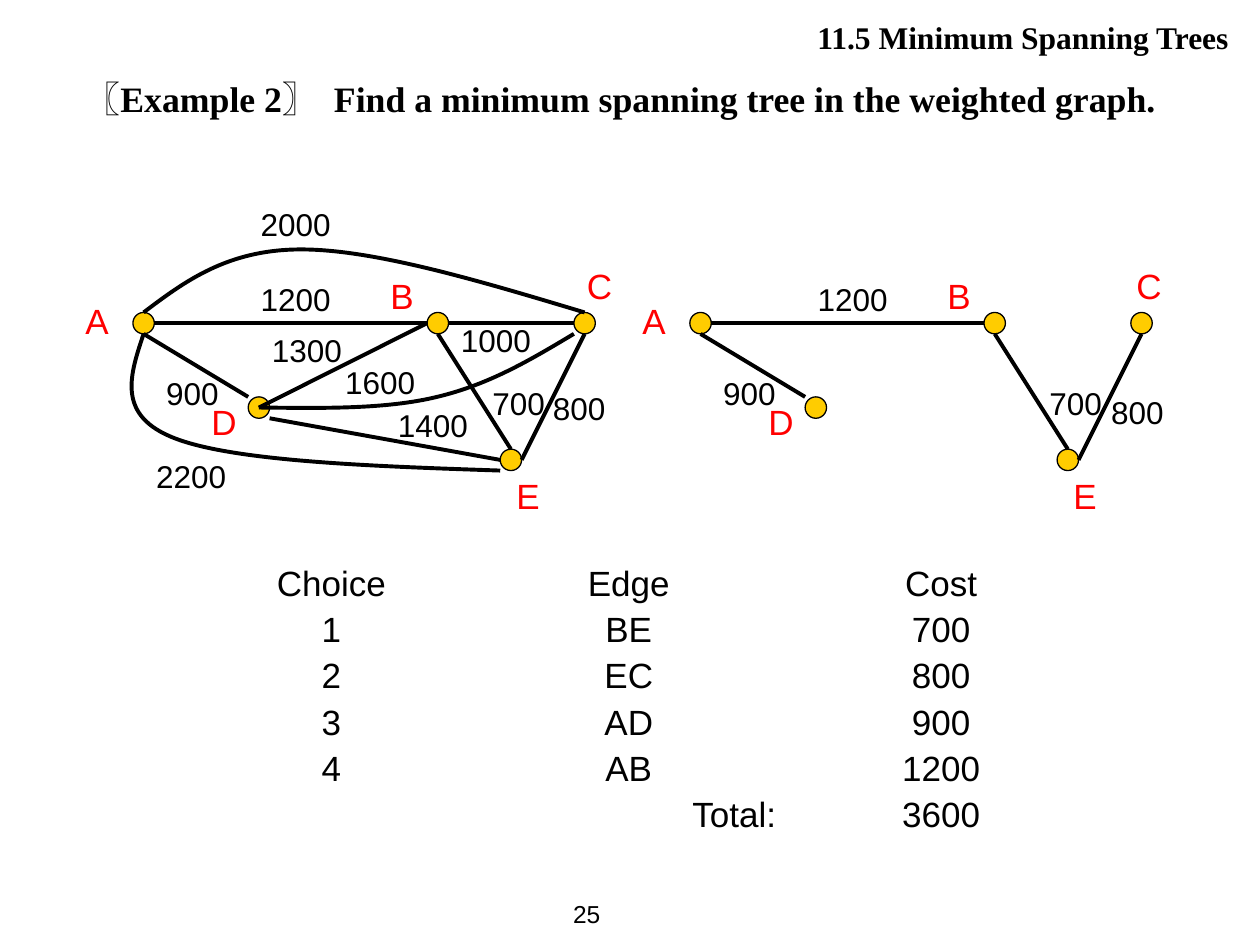
from pptx import Presentation
from pptx.dml.color import RGBColor
from pptx.enum.shapes import MSO_CONNECTOR, MSO_SHAPE
from pptx.enum.text import MSO_ANCHOR, PP_ALIGN
from pptx.oxml.ns import qn
from pptx.util import Inches, Pt

LEFT, CENTER, RIGHT = PP_ALIGN.LEFT, PP_ALIGN.CENTER, PP_ALIGN.RIGHT
TOP, MIDDLE, BOTTOM = MSO_ANCHOR.TOP, MSO_ANCHOR.MIDDLE, MSO_ANCHOR.BOTTOM
OVAL, STRAIGHT = MSO_SHAPE.OVAL, MSO_CONNECTOR.STRAIGHT

SLIDE_WIDTH, SLIDE_HEIGHT = Inches(10), Inches(7.5)
COLUMNS = 100
CELL = SLIDE_WIDTH / COLUMNS
BLACK, RED, GOLD = "000000", "FF0000", "FFCC00"

RADIUS = 0.85
TREE_SHIFT = 44.2
NODES = {
    "A": (11.4, 25.65),
    "B": (34.75, 25.65),
    "C": (46.4, 25.65),
    "D": (20.55, 32.35),
    "E": (40.55, 36.5),
}
PORTS = {
    "center": (0, 0),
    "top": (0, -1),
    "left": (-1, 0),
    "bottom": (0, 1),
    "right": (1, 0),
    "upper left": (-1, -1),
    "lower left": (-1, 1),
    "lower right": (1, 1),
}
EDGES = {
    "AB": ("right", "left"),
    "BC": ("right", "left"),
    "AD": ("bottom", "upper left"),
    "DE": ("lower right", "left"),
    "EC": ("right", "bottom"),
    "BE": ("bottom", "top"),
    "DB": ("center", "left"),
}
CURVES = {
    "AC": ("top", "top",
           [(14.7, 22.3), (18.1, 19.8), (23.9, 19.8), (29.7, 19.8), (38.1, 22.3)]),
    "AE": ("bottom", "lower left",
           [(10.3, 29.8), (9.2, 33), (13.9, 34.8), (18.6, 36.6), (29.2, 37)]),
    "DC": ("center", "lower left",
           [(25.6, 32.4), (30.6, 32.5), (34.7, 31.5), (38.9, 30.5), (42.2, 28.5)]),
}
NAME_PLACES = {
    "A": (5.8, 23.3),
    "B": (30, 21.3),
    "C": (45.6, 20.5),
    "D": (15.8, 31.3),
    "E": (40, 37.2),
}
WEIGHTS = {
    "AC": ("2000", 19.7, 15.8),
    "AB": ("1200", 19.7, 21.7),
    "BC": ("1000", 35.6, 25),
    "AD": ("900", 12.2, 29.2),
    "DB": ("1300", 20.6, 25.8),
    "DC": ("1600", 26.4, 28.3),
    "DE": ("1400", 30.6, 31.7),
    "BE": ("700", 38.1, 30),
    "AE": ("2200", 11.4, 35.8),
    "EC": ("800", 42.9, 30.4),
}
TREE_EDGES = ["AB", "AD", "EC", "BE"]
CHOICES = [
    ("Choice", "Edge", "Cost"),
    ("1", "BE", "700"),
    ("2", "EC", "800"),
    ("3", "AD", "900"),
    ("4", "AB", "1200"),
    ("", "Total:", "3600"),
]
CHOICE_COLUMNS = (23.8, 23.4, 26.2)


def grid(cells):
    return round(cells * CELL)


def color(value):
    return RGBColor.from_string(value)


def apply_format(target, values):
    for name, value in values.items():
        setattr(target, name, value)


def format_font(paragraph, size, value=BLACK, name="Arial", bold=False):
    apply_format(paragraph.font, {"size": Pt(size), "name": name, "bold": bold})
    paragraph.font.color.rgb = color(value)


def format_line(line, width):
    line.width = Pt(width)
    line.color.rgb = color(BLACK)


def add_text(shapes, text, box, size, alignment=LEFT, anchor=TOP, wrap=True, **font):
    shape = shapes.add_textbox(*map(grid, box))
    apply_format(shape.text_frame, {"word_wrap": wrap, "vertical_anchor": anchor})
    paragraph = shape.text_frame.paragraphs[0]
    apply_format(paragraph, {"text": text, "alignment": alignment})
    format_font(paragraph, size, **font)
    return paragraph


def port_point(node, port, shift):
    (x, y), (across, down) = NODES[node], PORTS[port]
    return grid(x + across * RADIUS + shift), grid(y + down * RADIUS)


def add_node(shapes, node, shift):
    shape = shapes.add_shape(
        OVAL, *port_point(node, "upper left", shift), grid(2 * RADIUS), grid(2 * RADIUS))
    shape.shadow.inherit = False
    shape.fill.solid()
    shape.fill.fore_color.rgb = color(GOLD)
    format_line(shape.line, 0.75)


def add_edge(shapes, edge, shift):
    ends = [port_point(node, port, shift) for node, port in zip(edge, EDGES[edge])]
    connector = shapes.add_connector(STRAIGHT, *ends[0], *ends[1])
    format_line(connector.line, 2.25)
    properties = connector._element.spPr
    properties.append(properties.makeelement(qn("a:effectLst"), {}))


def add_curve(shapes, edge, shift):
    start_port, end_port, controls = CURVES[edge]
    points = [(grid(x + shift), grid(y)) for x, y in controls]
    points.append(port_point(edge[1], end_port, shift))
    builder = shapes.build_freeform(*port_point(edge[0], start_port, shift))
    builder.add_line_segments(points, close=False)
    shape = builder.convert_to_shape()
    shape.shadow.inherit = False
    shape.fill.background()
    format_line(shape.line, 2.25)
    outline = next(shape._element.iter(qn("a:path")))
    segments = outline.findall(qn("a:lnTo"))
    for first in range(0, len(segments), 3):
        bezier = outline.makeelement(qn("a:cubicBezTo"), {})
        outline.append(bezier)
        for segment in segments[first:first + 3]:
            bezier.append(segment[0])
            outline.remove(segment)


def add_graph(shapes, edges, shift=0, moved=None):
    places = {**NAME_PLACES, **WEIGHTS, **(moved or {})}
    for node in NODES:
        add_node(shapes, node, shift)
    for edge in edges:
        draw = add_curve if edge in CURVES else add_edge
        draw(shapes, edge, shift)
    for edge in edges:
        text, x, y = places[edge]
        add_text(shapes, text, (x + shift, y, 8.3, 4), 18)
    for node in NODES:
        x, y = places[node]
        add_text(shapes, node, (x + shift, y, 5, 4.4), 20, value=RED)


def add_choices(shapes):
    row_height = 3.68
    box = (14.4, 44.5, sum(CHOICE_COLUMNS), row_height * len(CHOICES))
    table = shapes.add_table(
        len(CHOICES), len(CHOICE_COLUMNS), *map(grid, box)).table
    apply_format(table, {"first_row": False, "horz_banding": False})
    for column, width in zip(table.columns, CHOICE_COLUMNS):
        column.width = grid(width)
    margins = dict.fromkeys(
        ["margin_left", "margin_right", "margin_top", "margin_bottom"], 0)
    for row, texts in zip(table.rows, CHOICES):
        row.height = grid(row_height)
        for cell, text in zip(row.cells, texts):
            cell.fill.background()
            apply_format(cell, {**margins, "vertical_anchor": MIDDLE})
            paragraph = cell.text_frame.paragraphs[0]
            alignment = RIGHT if text == "Total:" else CENTER
            apply_format(paragraph, {"text": text, "alignment": alignment})
            format_font(paragraph, 20)


def add_example(shapes):
    paragraph = add_text(
        shapes, " 〖Example 2〗  Find a minimum spanning tree in the weighted graph.",
        (5.1, 6, 88.2, 7.1), 20.4, name="Times New Roman", bold=True)
    paragraph.line_spacing = 0.9
    indent = grid(3.8)
    properties = paragraph._p.get_or_add_pPr()
    properties.set("marL", str(indent))
    properties.set("indent", str(-indent))


def main():
    presentation = Presentation()
    apply_format(presentation,
                 {"slide_width": SLIDE_WIDTH, "slide_height": SLIDE_HEIGHT})
    slide = presentation.slides.add_slide(presentation.slide_layouts[6])
    shapes = slide.shapes
    add_text(shapes, "25", (44.5, 70, 6.7, 5), 14, anchor=MIDDLE, wrap=False)
    add_graph(shapes, TREE_EDGES, TREE_SHIFT,
              {"C": (45, 20.5), "EC": ("800", 43, 30.7)})
    add_choices(shapes)
    add_example(shapes)
    add_graph(shapes.add_group_shape().shapes, [*EDGES, *CURVES])
    add_text(shapes, "11.5 Minimum Spanning Trees", (39.1, 0, 59.4, 4.9), 18,
             alignment=RIGHT, anchor=BOTTOM, name="Times New Roman", bold=True)
    presentation.save("out.pptx")


if __name__ == "__main__":
    main()
